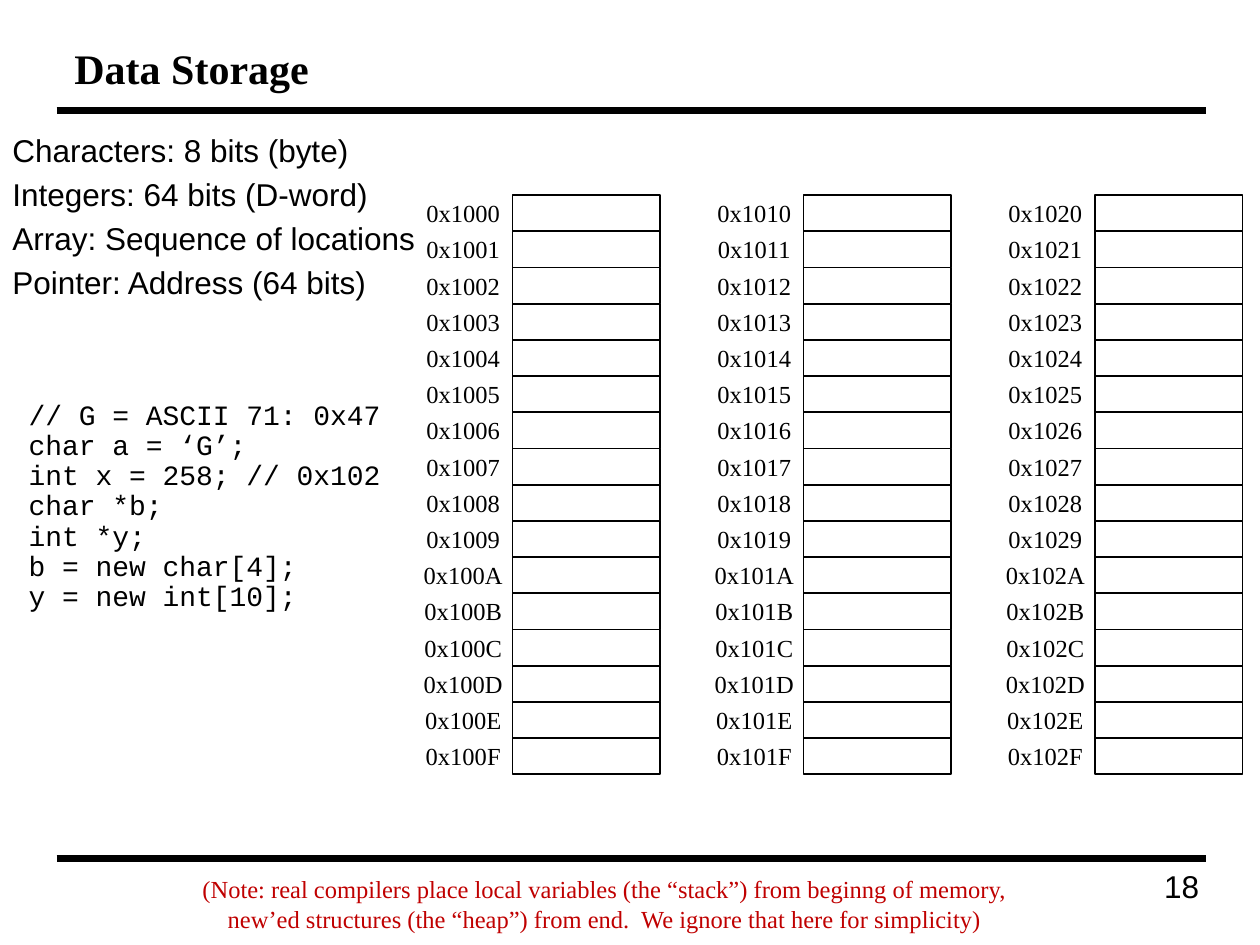
from lxml.etree import SubElement
from pptx import Presentation
from pptx.dml.color import RGBColor
from pptx.enum.shapes import MSO_CONNECTOR, MSO_SHAPE
from pptx.enum.text import MSO_ANCHOR, PP_ALIGN
from pptx.oxml.ns import qn
from pptx.util import Inches, Pt

BLACK = RGBColor(0, 0, 0)
WHITE = RGBColor(255, 255, 255)
RED = RGBColor(192, 0, 0)
SERIF, SANS, MONO = "Times New Roman", "Arial", "Courier New"
W, H = Inches(10), Inches(7.5)

BANKS = 3
ROWS = 16
BANK_PITCH = 23.1
LABEL_SHARE = 0.4
LABEL_HEIGHT = 1.18

FACTS = [
    "Characters: 8 bits (byte)",
    "Integers: 64 bits (D-word)",
    "Array: Sequence of locations",
    "Pointer: Address (64 bits)",
]
CODE = [
    "// G = ASCII 71: 0x47 ",
    "char a = ‘G’; ",
    "int x = 258; // 0x102",
    "char *b;",
    "int *y;",
    "b = new char[4];",
    "y = new int[10];",
]
NOTE = [
    "(Note: real compilers place local variables (the “stack”) from beginng of memory,",
    "new’ed structures (the “heap”) from end.  We ignore that here for simplicity)",
]


def percent(x, y, w, h):
    return int(W * x / 100), int(H * y / 100), int(W * w / 100), int(H * h / 100)


def write(p, lines, font, size, color=BLACK, align=PP_ALIGN.LEFT, bold=False):
    p.alignment = align
    for i, line in enumerate(lines):
        if i:
            p.add_line_break()
        r = p.add_run()
        r.text = line
        r.font.name, r.font.size, r.font.bold = font, Pt(size), bold
        r.font.color.rgb = color


def add_text(shapes, box, wrap=True):
    tf = shapes.add_textbox(*box).text_frame
    tf.word_wrap = wrap
    return tf


def add_rule(s, y):
    x, top, w, _ = percent(4.5, y, 91.2, 0)
    line = s.shapes.add_connector(MSO_CONNECTOR.STRAIGHT, x, top, x + w, top)
    line.line.color.rgb = BLACK
    line.line.width = Pt(4)
    SubElement(line._element.spPr, qn("a:effectLst"))


def add_title(s, box):
    title = s.shapes.title
    title.left, title.top, title.width, title.height = box
    tf = title.text_frame
    tf.vertical_anchor = MSO_ANCHOR.MIDDLE
    write(tf.paragraphs[0], ["Data Storage"], SERIF, 24, bold=True)


def add_facts(s, box):
    tf = add_text(s.shapes, box)
    for i, fact in enumerate(FACTS):
        p = tf.add_paragraph() if i else tf.paragraphs[0]
        if i:
            p.space_before = Pt(3.6)
        write(p, [fact], SANS, 18)


def add_code(s, box):
    p = add_text(s.shapes, box).paragraphs[0]
    p.line_spacing = 0.9
    write(p, CODE, MONO, 16)


def add_bank(s, box, start):
    x, y, w, h = box
    row_h = h / ROWS
    label_w = int(w * LABEL_SHARE)
    label_h = int(row_h * LABEL_HEIGHT)
    group = s.shapes.add_group_shape()
    for i in range(ROWS):
        top = int(y + i * row_h)
        cell = group.shapes.add_shape(
            MSO_SHAPE.RECTANGLE, x + label_w, top, w - label_w, int(row_h))
        cell.shadow.inherit = False
        cell.fill.solid()
        cell.fill.fore_color.rgb = WHITE
        cell.line.color.rgb = BLACK
        cell.line.width = Pt(1)
        label_top = top - int((label_h - row_h) / 2)
        tf = add_text(group.shapes, (x, label_top, label_w, label_h), wrap=False)
        tf.margin_left = tf.margin_right = 0
        write(tf.paragraphs[0], [f"0x{start + i:04X}"], SERIF, 14, align=PP_ALIGN.CENTER)


def add_memory(s, box):
    x, y, w, h = box
    for bank in range(BANKS):
        add_bank(s, percent(x + bank * BANK_PITCH, y, w, h), 0x1000 + bank * ROWS)


def add_footer(s, note_box, number_box):
    tf = add_text(s.shapes, number_box)
    write(tf.paragraphs[0], ["18"], SANS, 18, align=PP_ALIGN.RIGHT)
    tf = add_text(s.shapes, note_box, wrap=False)
    write(tf.paragraphs[0], NOTE, SERIF, 14, RED, PP_ALIGN.CENTER)


def main():
    prs = Presentation()
    prs.slide_width, prs.slide_height = W, H
    s = prs.slides.add_slide(prs.slide_layouts[5])
    for y in (11.7, 90.8):
        add_rule(s, y)
    add_title(s, percent(4.9, 3.3, 90.4, 7.7))
    add_facts(s, percent(0, 13.2, 91.2, 76.8))
    add_code(s, percent(1.3, 41.8, 31.6, 24))
    add_memory(s, (32.86, 20.65, 19.55, 61.3))
    add_footer(s, percent(14.8, 91.85, 66.4, 7.6), percent(75.6, 91.05, 20.55, 6.5))
    prs.save("out.pptx")


if __name__ == "__main__":
    main()
